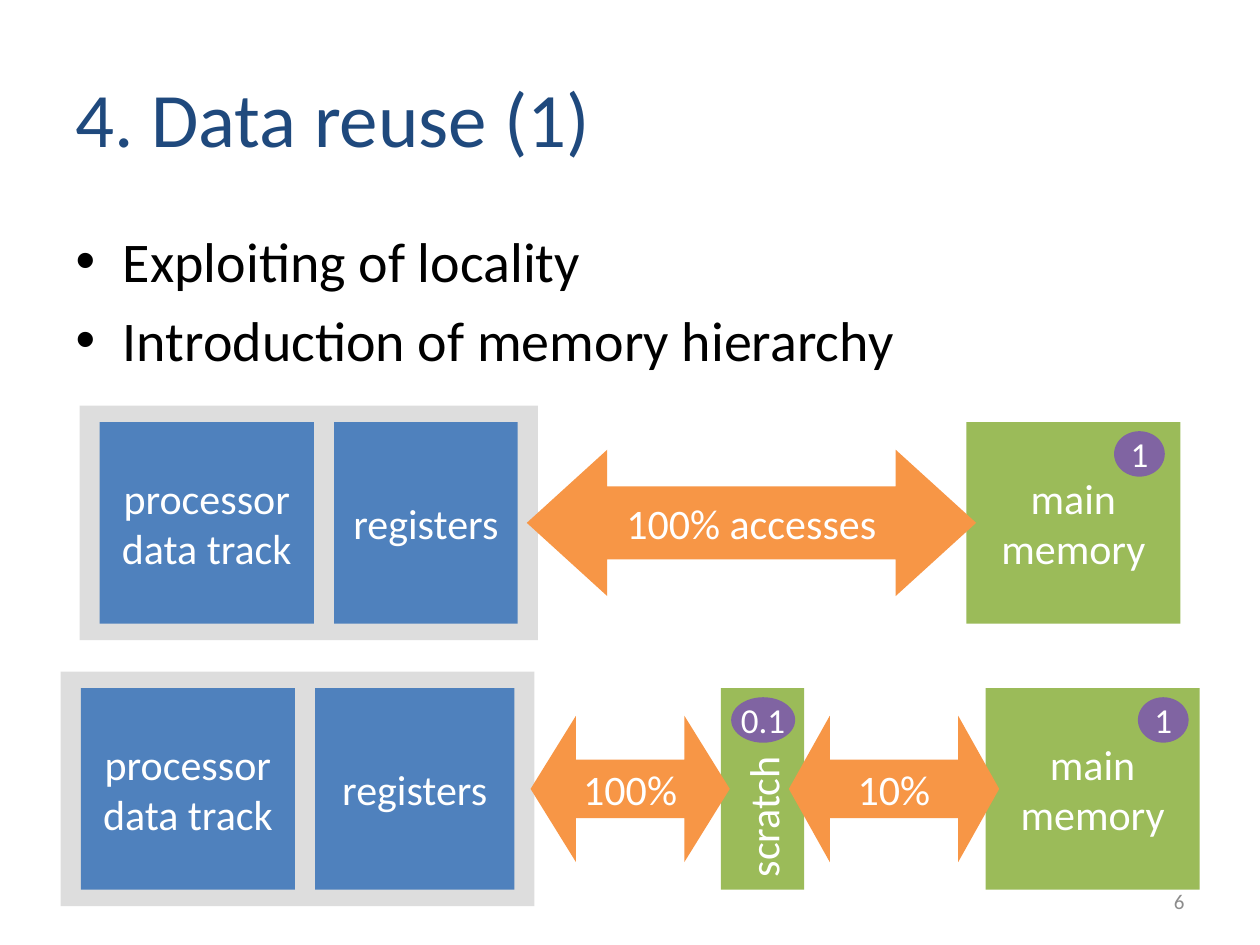
from dataclasses import dataclass
from pptx import Presentation
from pptx.dml.color import RGBColor as Rgb
from pptx.enum.shapes import MSO_SHAPE as Kind
from pptx.enum.text import MSO_ANCHOR as Anchor, PP_ALIGN as Align
from pptx.util import Pt


@dataclass(frozen=True)
class Theme:
    font: str = "Calibri"
    head: str = "1F497D"
    ink: str = "000000"
    light: str = "FFFFFF"
    mute: str = "8C8C8C"
    frame: str = "DDDDDD"
    core: str = "4F81BD"
    store: str = "9BBB59"
    flow: str = "F79646"
    cost: str = "8064A2"
    title: int = 44
    body: int = 32
    label: int = 24
    badge: int = 20
    page: int = 12


T = Theme()
WIDE, HIGH = 122.4, 115.2   # processor and memory blocks
GAP, RIM = 11.5, 9.4        # side and top margins of the frame


def write(frame, lines, size, color, align=Align.CENTER):
    """Fill a text frame, one paragraph per line."""
    for i, line in enumerate(lines):
        par = frame.paragraphs[0] if i == 0 else frame.add_paragraph()
        par.alignment = align
        run = par.add_run()
        run.text = line
        font = run.font
        font.name, font.size = T.font, Pt(size)
        font.color.rgb = Rgb.from_string(color)


def place(item, x, y, w, h):
    item.left, item.top, item.width, item.height = Pt(x), Pt(y), Pt(w), Pt(h)


def block(slide, box, fill, lines=(), kind=Kind.RECTANGLE,
          size=T.label, align=Align.CENTER):
    """Add a flat filled shape with a centred label."""
    shape = slide.shapes.add_shape(kind, *map(Pt, box))
    shape.shadow.inherit = False
    shape.fill.solid()
    shape.fill.fore_color.rgb = Rgb.from_string(fill)
    shape.line.fill.background()
    frame = shape.text_frame
    frame.word_wrap = True
    frame.vertical_anchor = Anchor.MIDDLE
    write(frame, lines, size, T.light, align)
    return shape


def arrow(slide, x, top, w, text, shaft, tip):
    h = 83.6
    box = (x, top + (HIGH - h) / 2, w, h)
    shape = block(slide, box, T.flow, [text], Kind.LEFT_RIGHT_ARROW)
    shape.adjustments[0], shape.adjustments[1] = shaft, tip


def badge(slide, x, top, w, text):
    box = (x, top + 5.2, w, 26)
    shape = block(slide, box, T.cost, [text], Kind.OVAL, T.badge)
    shape.text_frame.word_wrap = False


def chip(slide, x, top, reg):
    """Framed processor with its registers, reg points wide."""
    full = WIDE + reg + 3 * GAP
    block(slide, (x - GAP, top - RIM, full, HIGH + 2 * RIM), T.frame)
    block(slide, (x, top, WIDE, HIGH), T.core, ["processor", "data track"])
    block(slide, (x + WIDE + GAP, top, reg, HIGH), T.core, ["registers"])


def memory(slide, x, top):
    block(slide, (x, top, WIDE, HIGH), T.store, ["main memory"])


def scratch(slide, x, top):
    """Upright block made by turning a flat one about its centre."""
    w = 47.6
    shift = (HIGH - w) / 2
    box = (x - shift, top + shift, HIGH, w)
    shape = block(slide, box, T.store, ["scratch"], align=Align.LEFT)
    shape.rotation = 270


def main():
    deck = Presentation()
    deck.slide_width, deck.slide_height = Pt(720), Pt(540)
    slide = deck.slides.add_slide(deck.slide_layouts[1])

    # Title and bullets
    title, body = slide.placeholders
    place(title, 36, 21.6, 648, 90)
    title.text_frame.vertical_anchor = Anchor.MIDDLE
    write(title.text_frame, ["4. Data reuse (1)"], T.title, T.head, Align.LEFT)
    place(body, 36, 126, 648, 356.4)
    points = ["Exploiting of locality", "Introduction of memory hierarchy"]
    write(body.text_frame, points, T.body, T.ink, Align.LEFT)
    body.text_frame.paragraphs[0].space_before = Pt(0)

    # Two levels: registers and main memory
    top = 241.2
    chip(slide, 57, top, 105)
    memory(slide, 552.2, top)
    arrow(slide, 301, top, 256.8, "100% accesses", 0.5, 0.55)
    badge(slide, 636.6, top, 29, "1")

    # Three levels: a scratch memory in between
    top = 393.2
    chip(slide, 46.2, top, 113.8)
    memory(slide, 563.2, top)
    scratch(slide, 412, top)
    arrow(slide, 450.8, top, 120.2, "10%", 0.4, 0.28)
    arrow(slide, 303.2, top, 113.8, "100%", 0.4, 0.31)
    badge(slide, 650.2, top, 29, "1")
    badge(slide, 417.8, top, 36.6, "0.1")

    # Page number
    page = slide.shapes.add_textbox(Pt(516), Pt(500.5), Pt(168), Pt(28.8))
    page.text_frame.word_wrap = True
    page.text_frame.vertical_anchor = Anchor.MIDDLE
    write(page.text_frame, ["6"], T.page, T.mute, Align.RIGHT)

    deck.save("out.pptx")


if __name__ == "__main__":
    main()
